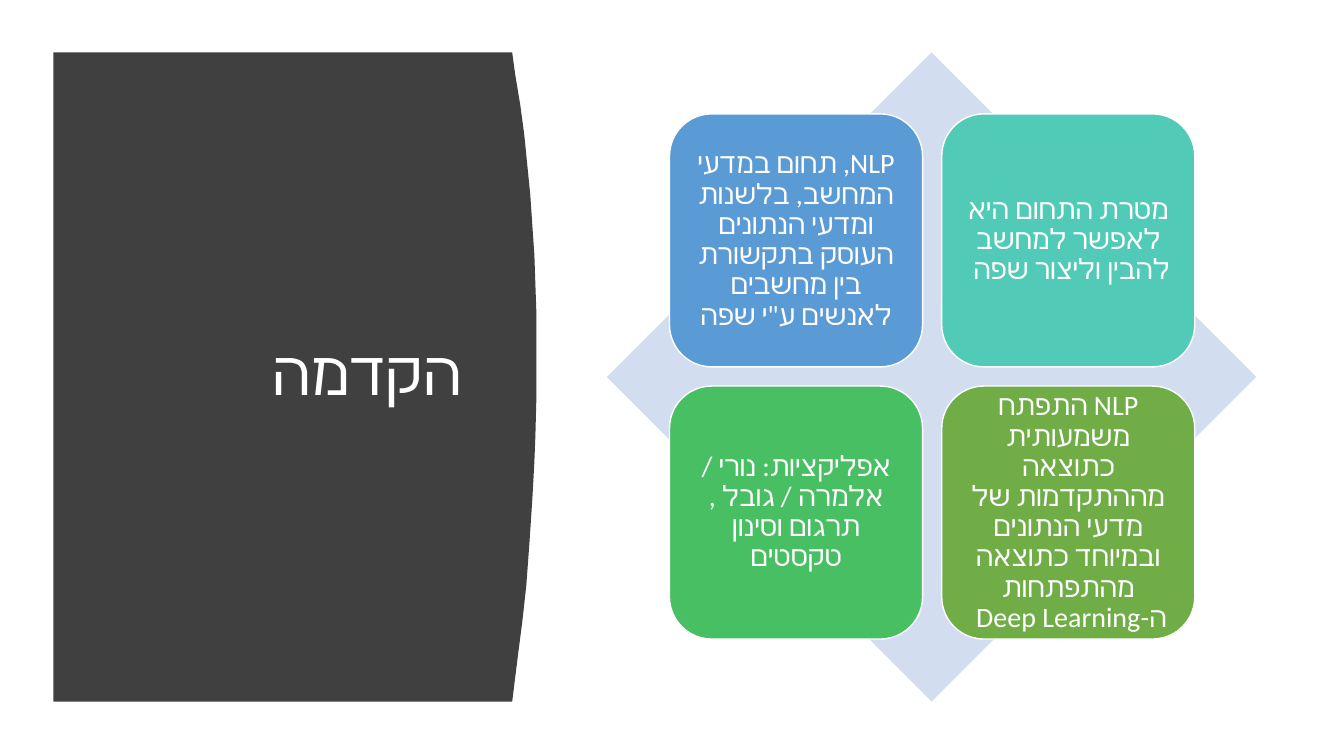
from dataclasses import dataclass

from lxml import etree
from pptx import Presentation
from pptx import util as u
from pptx.dml.color import RGBColor
from pptx.enum import shapes, text
from pptx.oxml.ns import qn

PX = 9144  # EMU per px, 100 px to the inch
FONT = "Calibri"
WHITE = RGBColor(0xFF, 0xFF, 0xFF)
CHARCOAL = RGBColor(0x40, 0x40, 0x40)
PALE_BLUE = RGBColor(0xD2, 0xDE, 0xEF)
BLUE = RGBColor(0x5B, 0x9B, 0xD5)
TEAL = RGBColor(0x52, 0xCA, 0xB8)
GREEN = RGBColor(0x49, 0xBF, 0x64)
OLIVE = RGBColor(0x70, 0xAD, 0x47)

CARD_LEFT, CARD_TOP, CARD_SIZE, CARD_PITCH = 664, 113, 251, 270
PANEL_LEFT, PANEL_TOP, PANEL_BOTTOM = 53, 52, 696
PANEL_EDGE = [
    (508, 52), (511, 74), (516, 104), (520, 134), (523, 164), (526, 194),
    (528, 224), (530, 253), (531, 282), (532, 311), (532, 394), (531, 433),
    (530, 458), (528, 495), (525, 540), (522, 581), (518, 617), (514, 648),
    (511, 672), (508, 696),
]


@dataclass
class Card:
    column: int
    row: int
    color: RGBColor
    wording: str


CARDS = [
    Card(0, 0, BLUE, "NLP, תחום במדעי המחשב, בלשנות ומדעי הנתונים "
                     "העוסק בתקשורת בין מחשבים לאנשים ע\"י שפה"),
    Card(1, 0, TEAL, "מטרת התחום היא לאפשר למחשב להבין וליצור שפה "),
    Card(0, 1, GREEN, "אפליקציות: נורי / אלמרה / גובל , תרגום וסינון טקסטים"),
    Card(1, 1, OLIVE, "NLP התפתח משמעותית כתוצאה מההתקדמות של מדעי הנתונים "
                      "ובמיוחד כתוצאה מהתפתחות ה-Deep Learning "),
]


def px(length: int) -> u.Emu:
    return u.Emu(length * PX)


def write_hebrew(frame, wording: str, size: int, alignment) -> None:
    """Fill a text frame with one right-to-left paragraph."""
    frame.word_wrap = True
    frame.auto_size = text.MSO_AUTO_SIZE.NONE
    frame.vertical_anchor = text.MSO_ANCHOR.MIDDLE
    paragraph = frame.paragraphs[0]
    paragraph.alignment = alignment
    paragraph.line_spacing = 0.9
    paragraph._p.get_or_add_pPr().set("rtl", "1")
    run = paragraph.add_run()
    run.text = wording
    run.font.size = u.Pt(size)
    run.font.color.rgb = WHITE
    run.font.name = FONT
    # Hebrew letters take the complex-script font
    etree.SubElement(run._r.get_or_add_rPr(), qn("a:cs"), typeface=FONT)


def paint(shape, color: RGBColor) -> None:
    shape.shadow.inherit = False
    shape.fill.solid()
    shape.fill.fore_color.rgb = color
    shape.line.fill.background()


def add_panel(slide):
    builder = slide.shapes.build_freeform(PANEL_LEFT, PANEL_TOP, scale=PX)
    builder.add_line_segments(PANEL_EDGE + [(PANEL_LEFT, PANEL_BOTTOM)], close=True)
    panel = builder.convert_to_shape()
    paint(panel, CHARCOAL)
    return panel


def add_card(group, card: Card) -> None:
    shape = group.shapes.add_shape(
        shapes.MSO_SHAPE.ROUNDED_RECTANGLE,
        px(CARD_LEFT + card.column * CARD_PITCH),
        px(CARD_TOP + card.row * CARD_PITCH),
        px(CARD_SIZE), px(CARD_SIZE))
    paint(shape, card.color)
    shape.line.color.rgb = WHITE
    shape.line.width = u.Pt(1)
    frame = shape.text_frame
    frame.margin_left = frame.margin_right = px(8)
    frame.margin_top = frame.margin_bottom = px(8)
    write_hebrew(frame, card.wording, 20, text.PP_ALIGN.CENTER)


def main() -> None:
    presentation = Presentation()
    presentation.slide_width, presentation.slide_height = px(1333), px(750)
    slide = presentation.slides.add_slide(presentation.slide_layouts[5])

    # Title on the dark curved panel
    title = slide.shapes.title
    title.left, title.top, title.width, title.height = px(94), px(111), px(374), px(524)
    write_hebrew(title.text_frame, "הקדמה", 44, text.PP_ALIGN.RIGHT)
    panel = add_panel(slide)
    title._element.addprevious(panel._element)

    # Diamond with four cards
    diagram = slide.shapes.add_group_shape()
    diamond = diagram.shapes.add_shape(
        shapes.MSO_SHAPE.DIAMOND, px(602), px(52), px(644), px(644))
    paint(diamond, PALE_BLUE)
    for card in CARDS:
        add_card(diagram, card)

    presentation.save("out.pptx")


if __name__ == "__main__":
    main()
